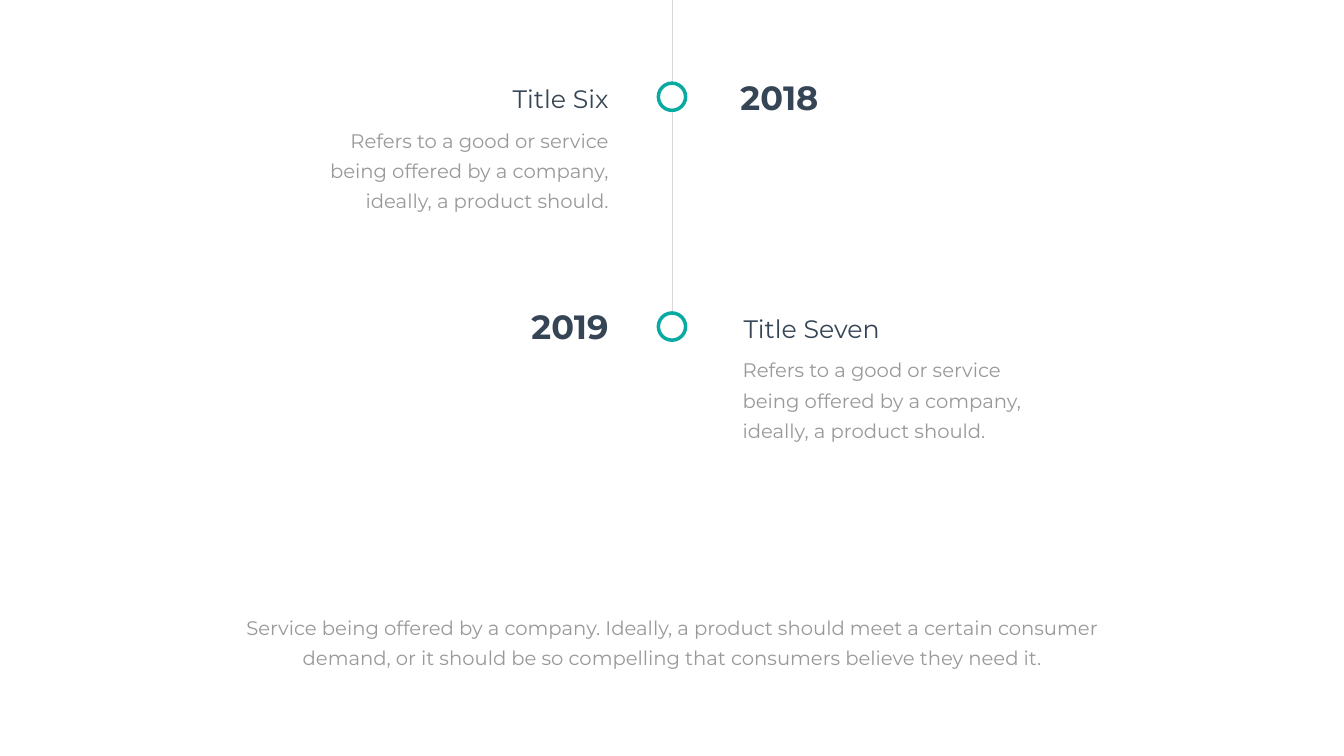
from lxml import etree
from pptx import Presentation
from pptx.dml.color import RGBColor
from pptx.enum.shapes import MSO_CONNECTOR as Connector, MSO_SHAPE as Shape
from pptx.enum.text import MSO_AUTO_SIZE as AutoSize, PP_ALIGN as Align
from pptx.oxml.ns import qn
from pptx.util import Inches, Pt

COLORS = {
    "white": "FFFFFF",
    "rule": "D9D9D9",
    "accent": "08AAA2",
    "heading": "364556",
    "body": "999999",
}
FONT = "Montserrat"
CENTER_X = 13.33
DOT = 0.54
DESCRIPTION = ("Refers to a good or service being offered by a company, "
               "ideally, a product should.")
CLOSING = ("Service being offered by a company. Ideally, a product should meet "
           "a certain consumer demand, or it should be so compelling that "
           "consumers believe they need it.")


def color(name):
    return RGBColor.from_string(COLORS[name])


def write(frame, text, *, size, tint, bold=False, align=Align.LEFT, leading=None):
    """Put one formatted paragraph into a text frame."""
    para = frame.paragraphs[0]
    para.alignment = align
    para.space_before = Pt(0)
    if leading:
        para.line_spacing = Pt(leading)
    span = para.add_run()
    span.text = text
    span.font.name = FONT
    span.font.size = Pt(size)
    span.font.bold = bold
    span.font.color.rgb = color(tint)


class TimelinePage:
    """Holds the style and the current slide."""

    def __init__(self, page):
        self.page = page

    def text(self, text, left, top, width, height, margins=(0.1, 0.05), **style):
        box = self.page.shapes.add_textbox(
            Inches(left), Inches(top), Inches(width), Inches(height))
        frame = box.text_frame
        frame.word_wrap = True
        frame.auto_size = AutoSize.SHAPE_TO_FIT_TEXT
        frame.margin_left = frame.margin_right = Inches(margins[0])
        frame.margin_top = frame.margin_bottom = Inches(margins[1])
        write(frame, text, **style)

    def title(self, text, left, top, align):
        self.text(text, left, top, 4.81, 0.71,
                  size=36, tint="heading", align=align)

    def year(self, text, left, top, align):
        self.text(text, left, top, 2.75, 0.91,
                  size=48, tint="heading", bold=True, align=align)

    def body(self, text, left, top, width, height, align):
        self.text(text, left, top, width, height, margins=(0.24, 0.12),
                  size=28, tint="body", align=align, leading=43)

    def axis(self, bottom):
        line = self.page.shapes.add_connector(
            Connector.STRAIGHT, Inches(CENTER_X), 0,
            Inches(CENTER_X), Inches(bottom))
        line.line.color.rgb = color("rule")
        line.line.width = Pt(0.5)
        etree.SubElement(line._element.spPr, qn("a:effectLst"))

    def dot(self, top):
        ring = self.page.shapes.add_shape(
            Shape.OVAL, Inches(CENTER_X - DOT / 2), Inches(top),
            Inches(DOT), Inches(DOT))
        ring.shadow.inherit = False
        ring.fill.solid()
        ring.fill.fore_color.rgb = color("white")
        ring.line.color.rgb = color("accent")
        ring.line.width = Pt(5)

    def milestone(self, year, title, top, text_on_left):
        """Draw a dot with its text on one side and its year on the other."""
        self.dot(top)
        if text_on_left:
            text_side, year_side = Align.RIGHT, Align.LEFT
            body_left, title_left, year_left = 5.82, 7.36, 14.59
        else:
            text_side, year_side = Align.LEFT, Align.RIGHT
            body_left, title_left, year_left = 14.49, 14.65, 9.42
        self.title(title, title_left, top - 0.05, text_side)
        self.body(DESCRIPTION, body_left, top + 0.65, 6.49, 2, text_side)
        self.year(year, year_left, top - 0.18, year_side)


def main():
    deck = Presentation()
    deck.slide_width = Inches(26.66)
    deck.slide_height = Inches(15)
    timeline = TimelinePage(deck.slides.add_slide(deck.slide_layouts[6]))

    # Vertical axis, behind the dots
    timeline.axis(6.52)

    # Milestones
    timeline.milestone("2018", "Title Six", 1.65, text_on_left=True)
    timeline.milestone("2019", "Title Seven", 6.21, text_on_left=False)

    # Closing statement
    timeline.body(CLOSING, 4.21, 11.96, 18.24, 1.39, Align.CENTER)

    deck.save("out.pptx")


if __name__ == "__main__":
    main()
